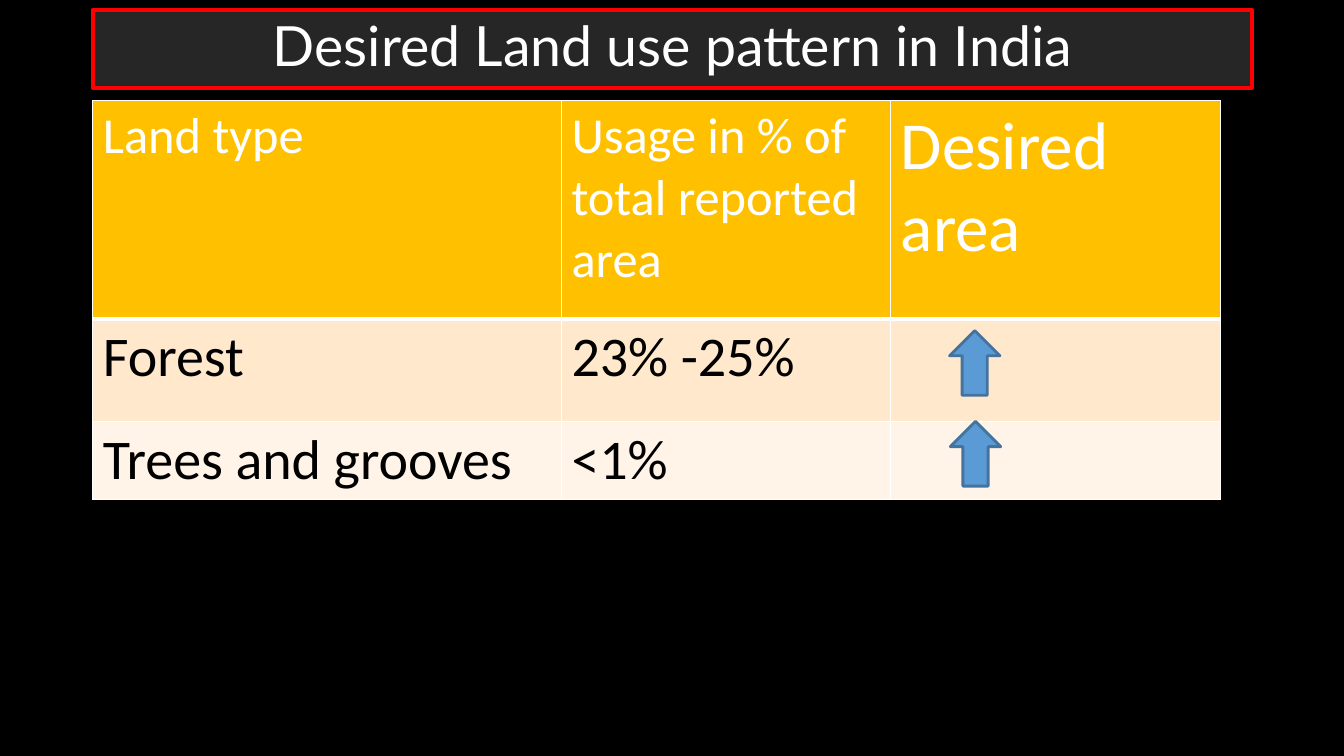
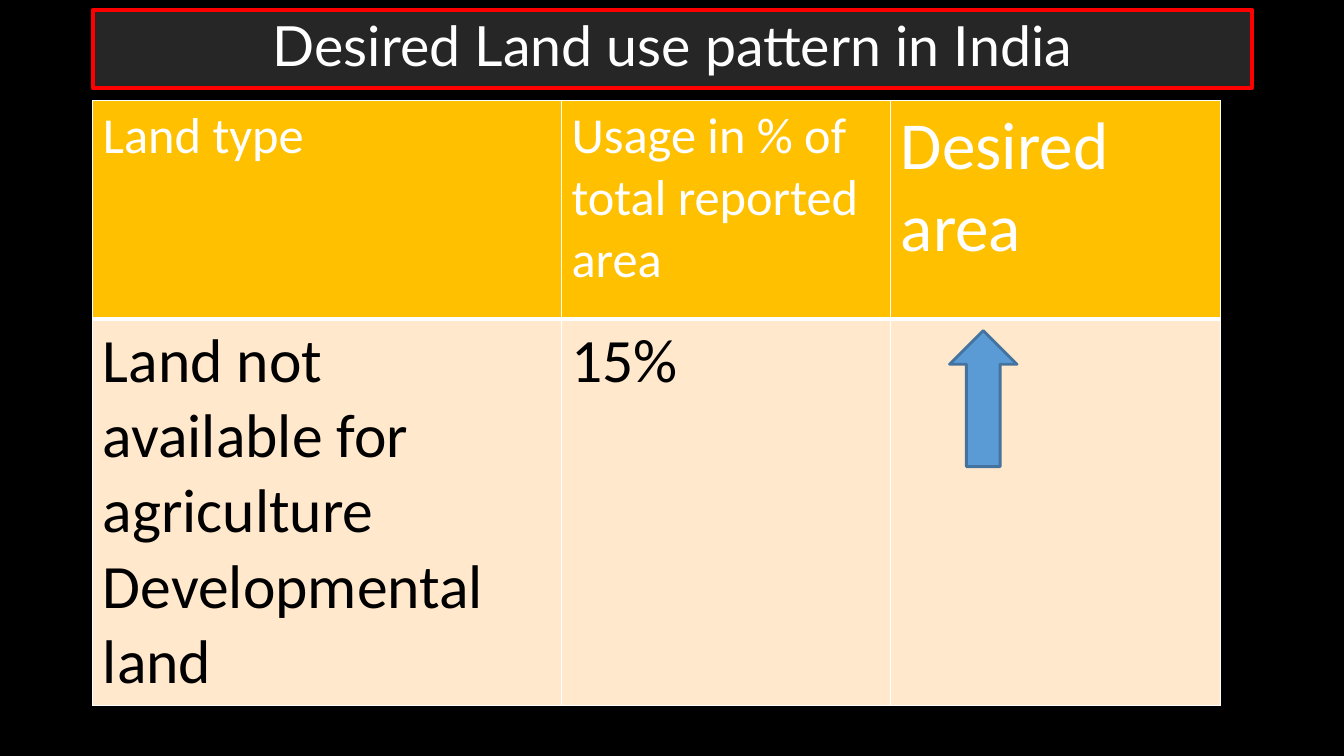
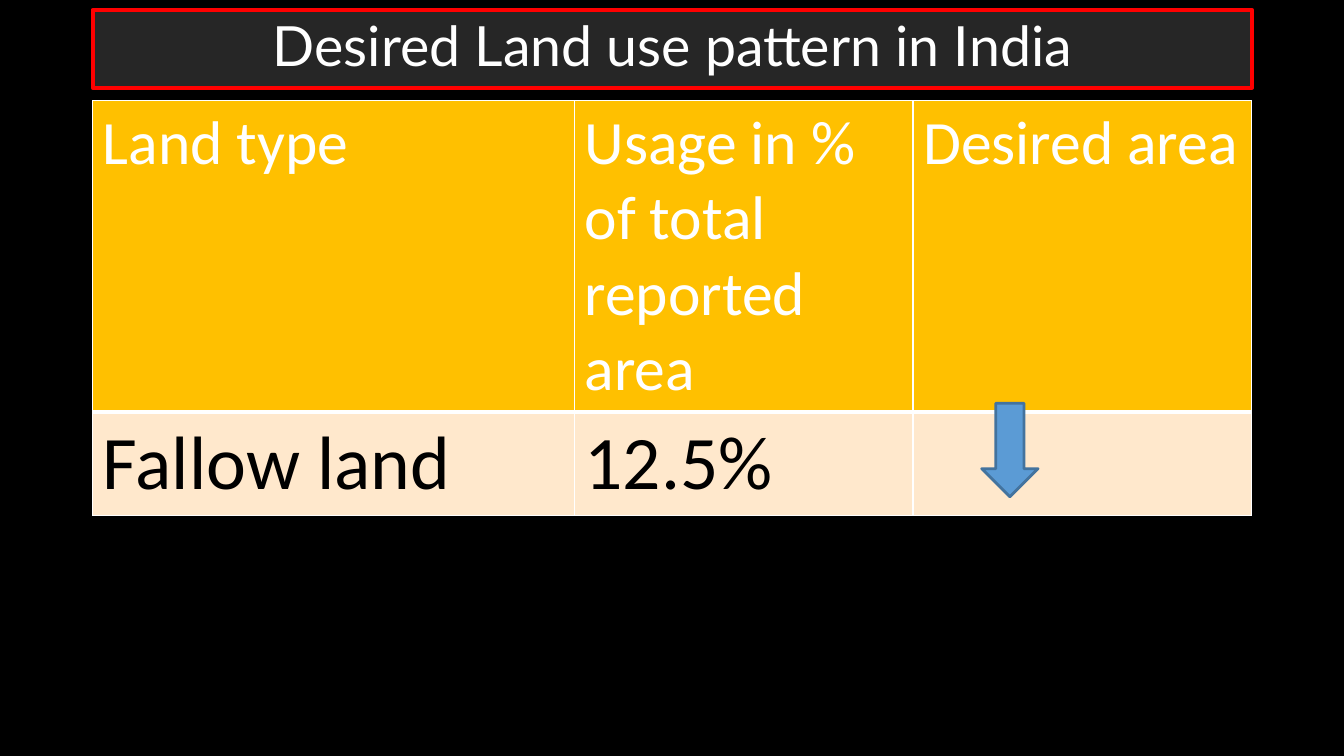
from lxml.etree import SubElement
from pptx import Presentation
from pptx.dml.color import RGBColor
from pptx.enum.shapes import MSO_SHAPE as Preset
from pptx.enum.text import MSO_ANCHOR as Anchor, PP_ALIGN as Align
from pptx.oxml.ns import qn
from pptx.util import Cm, Pt

# Shared colours
BLACK = RGBColor(0x00, 0x00, 0x00)
WHITE = RGBColor(0xFF, 0xFF, 0xFF)
CHARCOAL = RGBColor(0x26, 0x26, 0x26)
RED = RGBColor(0xFF, 0x00, 0x00)
AMBER = RGBColor(0xFF, 0xC0, 0x00)
PEACH = RGBColor(0xFF, 0xE8, 0xCC)
CREAM = RGBColor(0xFF, 0xF4, 0xE7)
BLUE = RGBColor(0x5B, 0x9B, 0xD5)
STEEL = RGBColor(0x43, 0x73, 0x9E)

# Shared wording, fonts and layout
TITLE = "Desired Land use pattern in India"
HEADINGS = ("Land type", "Usage in % of total reported area", "Desired area")
TITLE_FONT, BODY_FONT = "Lato", "Calibri"
LEFT, TITLE_TOP, TABLE_TOP = 2.34, 0.25, 2.54
TITLE_WIDTH, TITLE_HEIGHT = 29.21, 1.96
NARROW_COLUMNS = (11.81, 8.3, 8.3)
WIDE_COLUMNS = (12.14, 8.53, 8.53)


def style_text(frame, font, size, color):
    for paragraph in frame.paragraphs:
        for run in paragraph.runs:
            run.font.name = font
            run.font.size = Pt(size)
            run.font.bold = False
            run.font.color.rgb = color


def add_outlined(slide, preset, left, top, width, height, fill, line, weight):
    outlined = slide.shapes.add_shape(preset, Cm(left), Cm(top), Cm(width), Cm(height))
    outlined.shadow.inherit = False
    outlined.fill.solid()
    outlined.fill.fore_color.rgb = fill
    outlined.line.color.rgb = line
    outlined.line.width = Pt(weight)
    return outlined


def add_title(slide):
    banner = add_outlined(slide, Preset.ROUNDED_RECTANGLE, LEFT, TITLE_TOP,
                          TITLE_WIDTH, TITLE_HEIGHT, CHARCOAL, RED, 3)
    banner.adjustments[0] = 0
    frame = banner.text_frame
    frame.text = TITLE
    frame.word_wrap = True
    frame.vertical_anchor = Anchor.MIDDLE
    frame.paragraphs[0].alignment = Align.CENTER
    frame.paragraphs[0].line_spacing = 0.9
    style_text(frame, TITLE_FONT, 39.6, WHITE)


def add_arrow(slide, left, top, width, height, rotation=0):
    arrow = add_outlined(slide, Preset.UP_ARROW, left, top, width, height, BLUE, STEEL, 2)
    arrow.rotation = rotation


def add_borders(cell, bottom):
    properties = cell._tc.get_or_add_tcPr()
    for side, weight in (("L", 1), ("R", 1), ("T", 1), ("B", bottom)):
        border = SubElement(properties, qn(f"a:ln{side}"), w=str(Pt(weight)))
        solid = SubElement(border, qn("a:solidFill"))
        SubElement(solid, qn("a:srgbClr"), val=str(WHITE))


def fill_cell(cell, text, size, color, fill, bottom=1):
    add_borders(cell, bottom)
    cell.fill.solid()
    cell.fill.fore_color.rgb = fill
    cell.text_frame.text = text
    style_text(cell.text_frame, BODY_FONT, size, color)


def add_land_table(slide, columns, heights, heading_sizes, land_rows, land_size):
    table = slide.shapes.add_table(len(heights), len(columns), Cm(LEFT), Cm(TABLE_TOP),
                                   Cm(sum(columns)), Cm(sum(heights))).table
    table.horz_banding = False
    for column, width in zip(table.columns, columns):
        column.width = Cm(width)
    for row, height in zip(table.rows, heights):
        row.height = Cm(height)

    # Heading row
    for cell, heading, size in zip(table.rows[0].cells, HEADINGS, heading_sizes):
        fill_cell(cell, heading, size, WHITE, AMBER, bottom=3)

    # Land rows; the last column holds an arrow instead of text
    for number, (land, usage) in enumerate(land_rows, start=1):
        band = PEACH if number % 2 else CREAM
        for cell, text in zip(table.rows[number].cells, (land, usage, "")):
            fill_cell(cell, text, land_size, BLACK, band)


def add_land_slide(deck, columns, heights, heading_sizes, land_rows, land_size, arrows):
    slide = deck.slides.add_slide(deck.slide_layouts[6])
    slide.background.fill.solid()
    slide.background.fill.fore_color.rgb = BLACK
    add_land_table(slide, columns, heights, heading_sizes, land_rows, land_size)
    add_title(slide)
    for arrow in arrows:
        add_arrow(slide, *arrow)


def main():
    deck = Presentation()
    deck.slide_width, deck.slide_height = Cm(33.87), Cm(19.05)

    # Forest and trees
    add_land_slide(deck, NARROW_COLUMNS, (5.49, 2.59, 1.96), (36, 36, 48),
                   [("Forest", "23% -25%"), ("Trees and grooves", "<1%")], 40,
                   [(23.93, 8.33, 1.27, 1.63), (23.95, 10.62, 1.27, 1.63)])

    # Land outside agriculture
    add_land_slide(deck, NARROW_COLUMNS, (5.49, 9.58), (36, 36, 48),
                   [("Land not available for agriculture\nDevelopmental land", "15%")], 44,
                   [(23.93, 8.33, 1.7, 3.43)])

    # Fallow land
    add_land_slide(deck, WIDE_COLUMNS, (7.85, 2.59), (44, 44, 44),
                   [("Fallow land", "12.5%")], 54,
                   [(24.74, 10.16, 1.42, 2.36, 180)])

    deck.save("out.pptx")


main()
